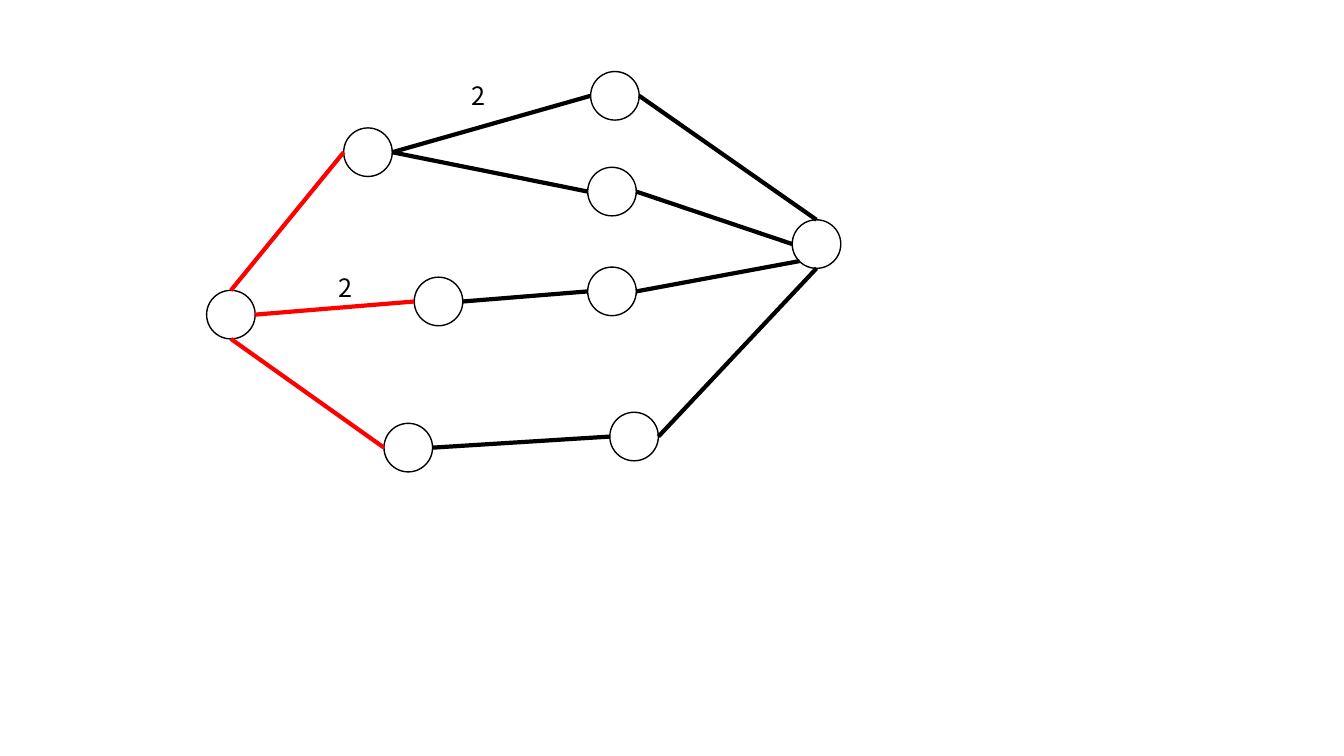
from dataclasses import dataclass

from lxml import etree
from pptx import Presentation
from pptx.dml.color import RGBColor
from pptx.enum.shapes import MSO_CONNECTOR, MSO_SHAPE
from pptx.enum.text import MSO_AUTO_SIZE
from pptx.oxml.ns import qn
from pptx.util import Pt

STRAIGHT = MSO_CONNECTOR.STRAIGHT
OVAL = MSO_SHAPE.OVAL
GROW_SHAPE = MSO_AUTO_SIZE.SHAPE_TO_FIT_TEXT


@dataclass(frozen=True)
class Theme:
    black: RGBColor = RGBColor(0x00, 0x00, 0x00)
    red: RGBColor = RGBColor(0xFF, 0x00, 0x00)
    font: str = "Noto Sans CJK SC"
    label_size: int = 18
    outline: int = 1
    edge: int = 3


THEME = Theme()
DIAMETER = 34.7
BLANK_LAYOUT = 6

# Left and top of each node, in points
NODES = {
    "source": (147.6, 207.4),
    "upper": (245.5, 91.4),
    "middle": (295.9, 198),
    "lower": (274.3, 302.4),
    "top end": (421.9, 51.1),
    "upper end": (419.8, 119.5),
    "middle end": (419.8, 190.8),
    "lower end": (435.6, 294.5),
    "sink": (565.9, 157),
}

# Where an edge meets a node, as fractions of its diameter
ANCHORS = {
    "top": (0.5, 0),
    "left": (0, 0.5),
    "bottom left": (0.15, 0.85),
    "bottom": (0.5, 1),
    "right": (1, 0.5),
}

CUT_EDGES = [
    ("source", "top", "upper", "left"),
    ("source", "right", "middle", "left"),
    ("source", "bottom", "lower", "left"),
]
EDGES = [
    ("upper", "right", "top end", "left"),
    ("upper", "right", "upper end", "left"),
    ("middle", "right", "middle end", "left"),
    ("lower", "right", "lower end", "left"),
    ("top end", "right", "sink", "top"),
    ("upper end", "right", "sink", "left"),
    ("middle end", "right", "sink", "bottom left"),
    ("lower end", "right", "sink", "bottom"),
]
WEIGHTS = [("2", 241.9, 194.4), ("2", 337, 57.6)]


def set_attributes(target, values):
    for name, value in values.items():
        setattr(target, name, value)


def anchor_point(node, anchor):
    return [Pt(start + part * DIAMETER)
            for start, part in zip(NODES[node], ANCHORS[anchor])]


def add_node(slide, left, top):
    node = slide.shapes.add_shape(
        OVAL, Pt(left), Pt(top), Pt(DIAMETER), Pt(DIAMETER))
    node.shadow.inherit = False
    node.fill.background()
    node.line.color.rgb = THEME.black
    node.line.width = Pt(THEME.outline)


def add_edge(slide, edge, color):
    start, start_anchor, end, end_anchor = edge
    connector = slide.shapes.add_connector(
        STRAIGHT, *anchor_point(start, start_anchor), *anchor_point(end, end_anchor))
    connector.line.color.rgb = color
    connector.line.width = Pt(THEME.edge)
    etree.SubElement(connector._element.spPr, qn("a:effectLst"))


def add_weight(slide, text, left, top):
    box = slide.shapes.add_textbox(Pt(left), Pt(top), Pt(9.4), Pt(21.6))
    frame = box.text_frame
    set_attributes(frame, {
        "margin_left": 0, "margin_top": 0, "margin_right": 0, "margin_bottom": 0,
        "word_wrap": False, "auto_size": GROW_SHAPE,
    })
    run = frame.paragraphs[0].add_run()
    run.text = text
    set_attributes(run.font, {"name": THEME.font, "size": Pt(THEME.label_size)})
    run.font.color.rgb = THEME.black


def main():
    presentation = Presentation()
    set_attributes(presentation, {"slide_width": Pt(960), "slide_height": Pt(540)})
    slide = presentation.slides.add_slide(presentation.slide_layouts[BLANK_LAYOUT])
    for position in NODES.values():
        add_node(slide, *position)
    for edge in CUT_EDGES:
        add_edge(slide, edge, THEME.red)
    for edge in EDGES:
        add_edge(slide, edge, THEME.black)
    for weight in WEIGHTS:
        add_weight(slide, *weight)
    presentation.save("out.pptx")


if __name__ == "__main__":
    main()
